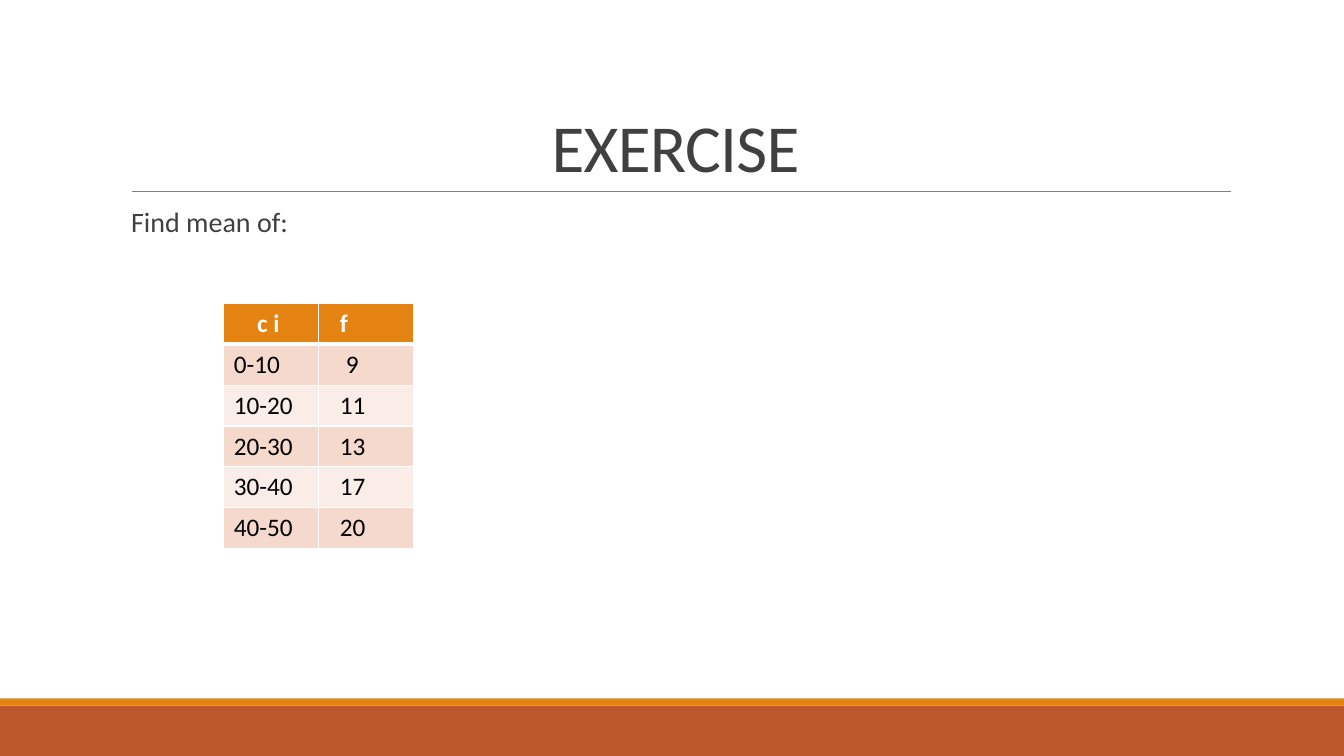
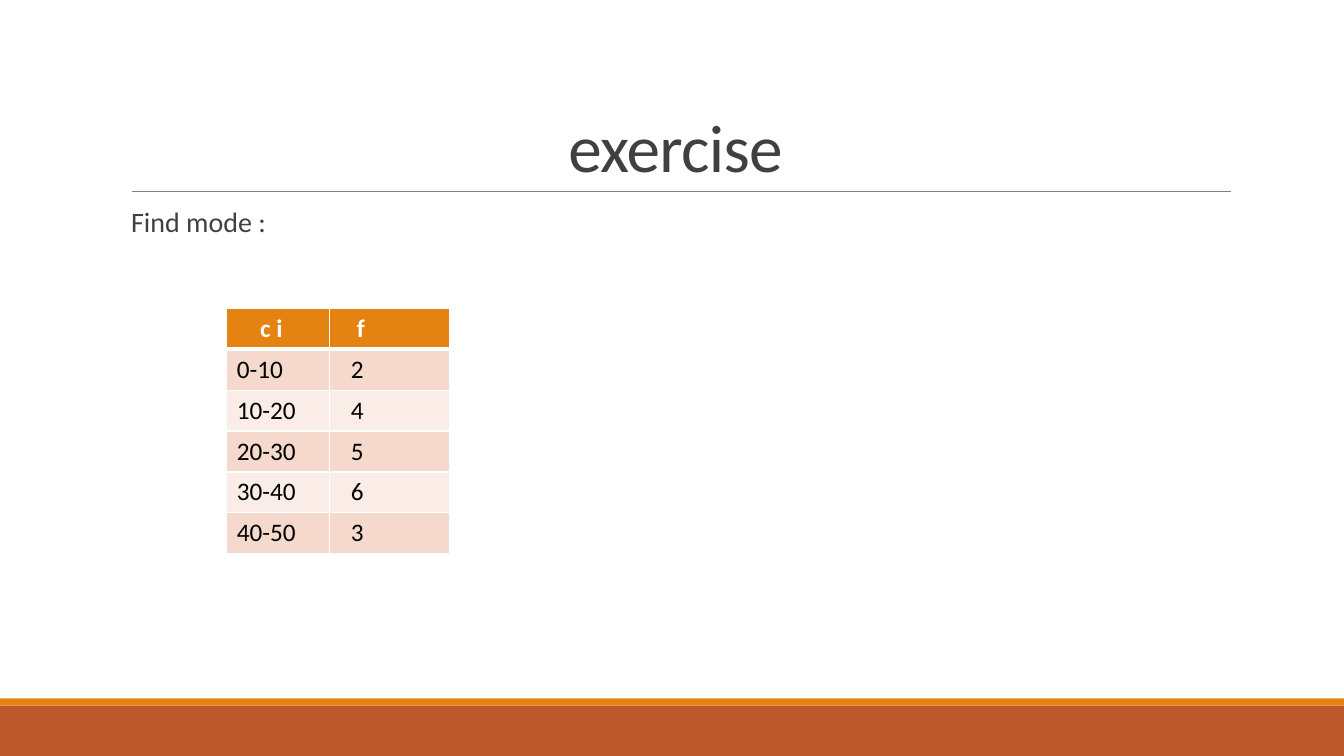
from lxml import etree
from pptx import Presentation
from pptx.dml.color import RGBColor
from pptx.enum.shapes import MSO_CONNECTOR, MSO_SHAPE
from pptx.enum.text import MSO_ANCHOR, MSO_AUTO_SIZE, PP_ALIGN
from pptx.oxml.ns import qn
from pptx.util import Inches, Pt

RECTANGLE = MSO_SHAPE.RECTANGLE
STRAIGHT = MSO_CONNECTOR.STRAIGHT
BOTTOM, TOP = MSO_ANCHOR.BOTTOM, MSO_ANCHOR.TOP
LEFT, CENTER = PP_ALIGN.LEFT, PP_ALIGN.CENTER
NO_AUTOFIT = MSO_AUTO_SIZE.NONE

FONT = "Calibri"
ORANGE = RGBColor(0xE4, 0x83, 0x12)
RUST = RGBColor(0xBD, 0x58, 0x2C)
GRAY = RGBColor(0x80, 0x80, 0x80)
DARK = RGBColor(0x40, 0x40, 0x40)
BLACK = RGBColor(0, 0, 0)
WHITE = RGBColor(0xFF, 0xFF, 0xFF)
ROW_TINTS = (RGBColor(0xF5, 0xD9, 0xCC), RGBColor(0xFA, 0xED, 0xE7))

WIDTH, HEIGHT = 13.33, 7.5
ROW_HEIGHT = 0.4
CELL_INSET = 0.1


class Deck:
    """Holds the shared style and the slide being built."""

    def __init__(self):
        self.prs = Presentation()
        self.prs.slide_width = Inches(WIDTH)
        self.prs.slide_height = Inches(HEIGHT)
        self.slide = None

    def new_slide(self):
        self.slide = self.prs.slides.add_slide(self.prs.slide_layouts[1])
        self.band(7, 0.5, RUST)
        self.band(6.93, 0.07, ORANGE)
        self.rule(1.31, 12.21, 1.9)

    def band(self, top, height, color):
        band = self.slide.shapes.add_shape(
            RECTANGLE, 0, Inches(top), Inches(WIDTH), Inches(height))
        band.shadow.inherit = False
        band.fill.solid()
        band.fill.fore_color.rgb = color
        band.line.fill.background()

    def rule(self, left, right, y):
        rule = self.slide.shapes.add_connector(
            STRAIGHT, Inches(left), Inches(y), Inches(right), Inches(y))
        rule.line.color.rgb = GRAY
        rule.line.width = Pt(0.5)
        etree.SubElement(rule._element.spPr, qn("a:effectLst"))

    def run(self, paragraph, text, size, color, bold=False):
        run = paragraph.add_run()
        run.text = text
        run.font.name = FONT
        run.font.size = Pt(size)
        run.font.bold = bold
        run.font.color.rgb = color
        return run

    def place(self, holder, top, height, anchor, side_inset):
        holder.left, holder.top = Inches(1.2), Inches(top)
        holder.width, holder.height = Inches(11), Inches(height)
        frame = holder.text_frame
        frame.word_wrap = True
        frame.auto_size = NO_AUTOFIT
        frame.vertical_anchor = anchor
        frame.margin_left = frame.margin_right = Inches(side_inset)
        frame.margin_top = frame.margin_bottom = Inches(0.05)
        return frame.paragraphs[0]

    def title(self, text):
        heading = self.place(self.slide.shapes.title, 0.31, 1.59, BOTTOM, 0.1)
        heading.alignment = CENTER
        heading.line_spacing = 0.85
        run = self.run(heading, text, 48, DARK)
        run.font._element.set("spc", "-50")

    def body(self, text):
        task = self.place(self.slide.placeholders[1], 2.02, 4.4, TOP, 0)
        task.alignment = LEFT
        task.line_spacing = 0.9
        task.space_before, task.space_after = Pt(12), Pt(2)
        props = task._p.get_or_add_pPr()
        props.set("marL", str(Inches(0.1)))
        props.set("indent", "0")
        etree.SubElement(props, qn("a:buNone"))
        self.run(task, text, 20, DARK)

    def borders(self, cell, top, bottom):
        props = cell._tc.get_or_add_tcPr()
        for side, points in (("L", 1), ("R", 1), ("T", top), ("B", bottom)):
            line = etree.SubElement(props, qn("a:ln" + side), w=str(Pt(points)))
            fill = etree.SubElement(line, qn("a:solidFill"))
            etree.SubElement(fill, qn("a:srgbClr"), val=str(WHITE))

    def table(self, left, top, col_widths, rows, indents):
        """indents maps (row, column) to extra left space; row None is the column's rule."""
        frame = self.slide.shapes.add_table(
            len(rows), len(col_widths), Inches(left), Inches(top),
            Inches(sum(col_widths)), Inches(ROW_HEIGHT * len(rows)))
        table = frame.table
        table.first_row = table.horz_banding = False
        for column, width in zip(table.columns, col_widths):
            column.width = Inches(width)
        for r, values in enumerate(rows):
            table.rows[r].height = Inches(ROW_HEIGHT)
            header = r == 0
            for c, value in enumerate(values):
                cell = table.cell(r, c)
                indent = indents.get((r, c), indents.get((None, c), 0))
                cell.margin_left = Inches(CELL_INSET + indent)
                self.borders(cell, 3 if r == 1 else 1, 3 if header else 1)
                cell.fill.solid()
                cell.fill.fore_color.rgb = ORANGE if header else ROW_TINTS[(r - 1) % 2]
                self.run(cell.text_frame.paragraphs[0], value, 18,
                         WHITE if header else BLACK, bold=header)


def frequency_rows(frequencies):
    classes = [f"{low}-{low + 10}" for low in range(0, 50, 10)]
    return [("c i", "f"), *zip(classes, map(str, frequencies))]


deck = Deck()

# Mean exercise
deck.new_slide()
deck.title("EXERCISE")
deck.body("Find mean of:")
deck.table(2.22, 3.01, (0.94, 0.94), frequency_rows((9, 11, 13, 17, 20)),
           {(0, 0): 0.23, (None, 1): 0.11, (1, 1): 0.17})

# Mode exercise
deck.new_slide()
deck.title("exercise")
deck.body("Find mode :")
deck.table(2.25, 3.06, (1.02, 1.19), frequency_rows((2, 4, 5, 6, 3)),
           {(0, 0): 0.23, (None, 1): 0.11, (0, 1): 0.17})

deck.prs.save("out.pptx")
